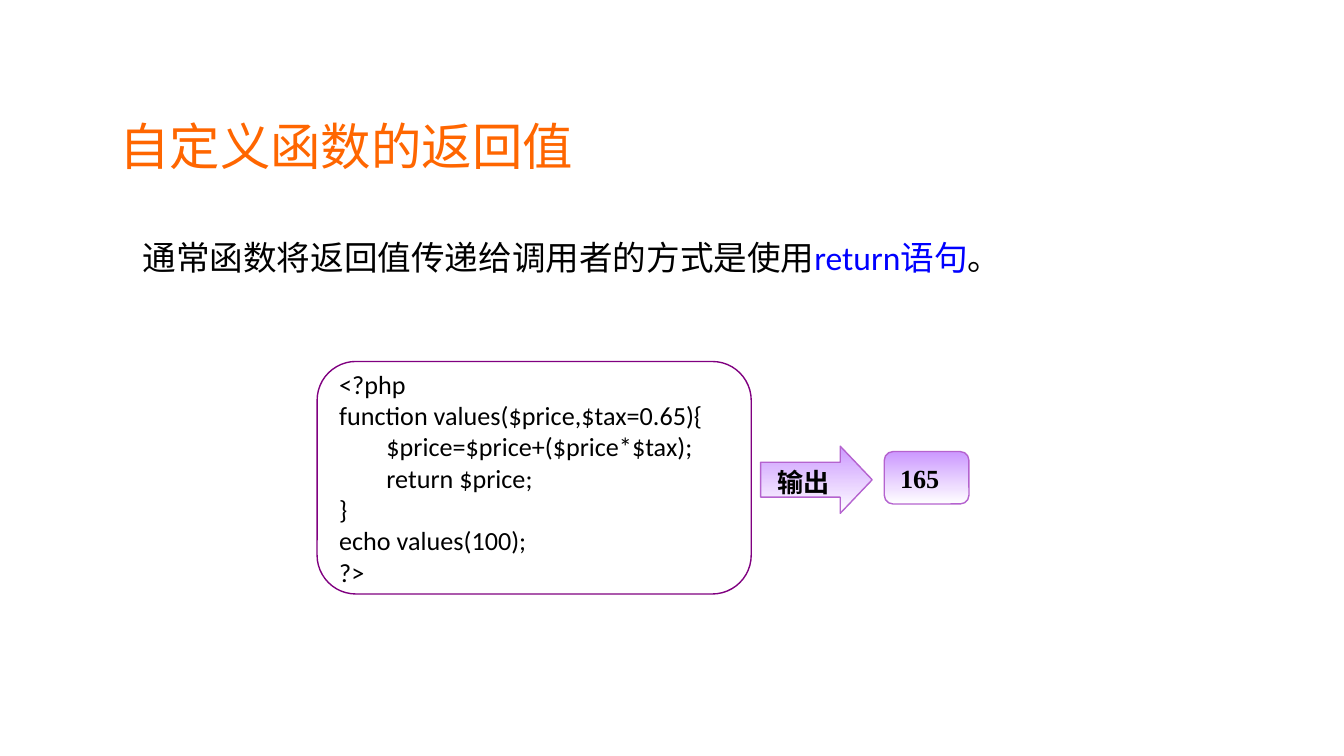
from dataclasses import dataclass

from lxml import etree
from pptx import Presentation
from pptx.dml.color import RGBColor
from pptx.enum import shapes, text
from pptx.oxml import ns
from pptx.util import Inches, Pt


@dataclass(frozen=True)
class Theme:
    title_color: str = "FF6600"
    ink: str = "000000"
    keyword: str = "0000FF"
    code_line: str = "800080"
    result_line: str = "B563CF"
    gradient: tuple = ("CC99FF", "FFFFFF")
    title_size: int = 27
    body_size: int = 18
    label_size: int = 14
    line_width: float = 0.75
    title_font: str = "Arial"
    body_font: str = "Calibri"
    label_font: str = "Times New Roman"


CODE = """<?php
function values($price,$tax=0.65){
        $price=$price+($price*$tax);
        return $price;
}
echo values(100);
?>"""


class SlideBuilder:
    """Draws themed elements on one slide."""

    def __init__(self, page, theme):
        self.page = page
        self.theme = theme

    def place(self, box, left, top, width, height):
        box.left, box.top = Inches(left), Inches(top)
        box.width, box.height = Inches(width), Inches(height)

    def frame(self, box, side, edge):
        frame = box.text_frame
        frame.word_wrap = True
        frame.auto_size = text.MSO_AUTO_SIZE.NONE
        frame.vertical_anchor = text.MSO_ANCHOR.MIDDLE
        frame.margin_left = frame.margin_right = Inches(side)
        frame.margin_top = frame.margin_bottom = Inches(edge)
        return frame

    def style(self, span, font, size, color, bold=False):
        span.font.name, span.font.size, span.font.bold = font, Pt(size), bold
        span.font.color.rgb = RGBColor.from_string(color)

    def title(self, words, *area):
        box = self.page.shapes.title
        self.place(box, *area)
        para = self.frame(box, 0.08, 0.04).paragraphs[0]
        para.text = words
        para.alignment = text.PP_ALIGN.CENTER
        self.style(para.runs[0], self.theme.title_font, self.theme.title_size, self.theme.title_color)

    def body(self, parts, indent, *area):
        box = self.page.placeholders[1]
        self.place(box, *area)
        para = self.frame(box, 0.1, 0.05).paragraphs[0]
        properties = para._p.get_or_add_pPr()
        properties.set("marL", str(Inches(indent)))
        properties.set("indent", "0")
        etree.SubElement(properties, ns.qn("a:buNone"))
        para.space_before = Pt(0)
        for words, color in parts:
            span = para.add_run()
            span.text = words
            self.style(span, self.theme.body_font, self.theme.body_size, color)

    def shape(self, kind, adjustments, line, *area):
        box = self.page.shapes.add_shape(kind, *map(Inches, area))
        box.shadow.inherit = False
        for index, value in enumerate(adjustments):
            box.adjustments[index] = value
        box.fill.background()
        box.line.color.rgb = RGBColor.from_string(line)
        box.line.width = Pt(self.theme.line_width)
        return box

    def label(self, box, words, font, side, edge, bold, align=text.PP_ALIGN.LEFT):
        frame = self.frame(box, side, edge)
        frame.text = words
        for para in frame.paragraphs:
            para.alignment = align
            for span in para.runs:
                self.style(span, font, self.theme.label_size, self.theme.ink, bold)
        return frame

    def code(self, words, *area):
        kind = shapes.MSO_SHAPE.ROUNDED_RECTANGLE
        box = self.shape(kind, [0.167], self.theme.code_line, *area)
        self.label(box, words, self.theme.body_font, 0.08, 0.04, False)

    def badge(self, kind, adjustments, words, align, *area):
        box = self.shape(kind, adjustments, self.theme.result_line, *area)
        box.fill.gradient()
        box.fill.gradient_angle = 270
        for stop, color in zip(box.fill.gradient_stops, self.theme.gradient):
            stop.color.rgb = RGBColor.from_string(color)
        return self.label(box, words, self.theme.label_font, 0.1, 0.05, True, align)


def main():
    deck = Presentation()
    deck.slide_width = Inches(10)
    deck.slide_height = deck.slide_width * 9 // 16
    theme = Theme()
    slide = SlideBuilder(deck.slides.add_slide(deck.slide_layouts[1]), theme)
    slide.title("自定义函数的返回值", 0.74, 0.7, 3.67, 0.77)
    sentence = [
        ("通常函数将返回值传递给调用者的方式是使用", theme.ink),
        ("return语句", theme.keyword),
        ("。", theme.ink),
    ]
    slide.body(sentence, 0.45, 0.51, 1.71, 8.7, 0.4)
    slide.code(CODE, 2.36, 2.69, 3.23, 1.73)
    kinds, align = shapes.MSO_SHAPE, text.PP_ALIGN
    slide.badge(kinds.ROUNDED_RECTANGLE, [0.167], "165", align.LEFT, 6.58, 3.36, 0.63, 0.39)
    output = slide.badge(kinds.RIGHT_ARROW, [0.519, 0.475], "输出", align.CENTER, 5.66, 3.32, 0.83, 0.5)
    output.margin_right = Inches(0.16)
    output.margin_top = Inches(0.08)
    deck.save("out.pptx")


if __name__ == "__main__":
    main()
